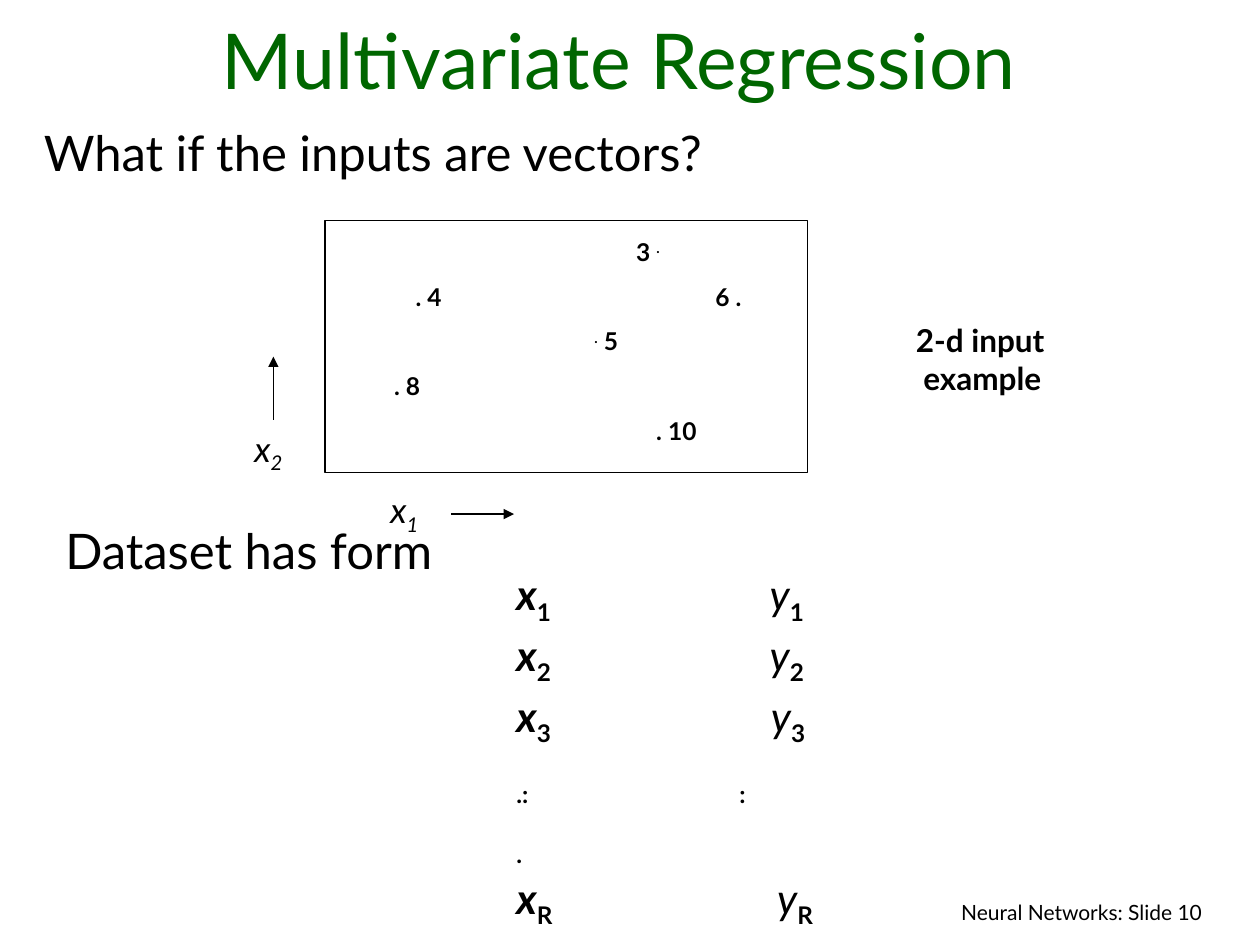
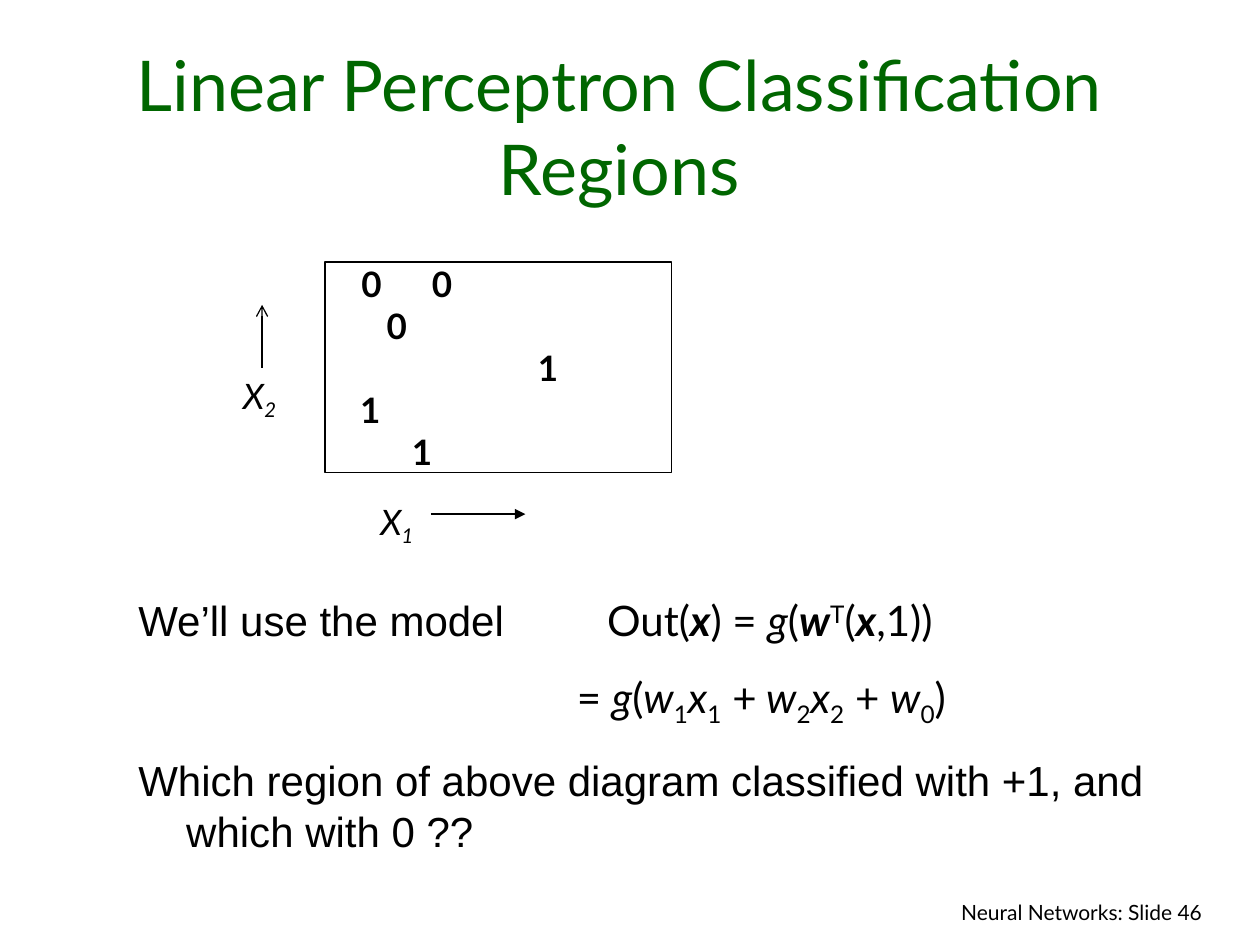
from lxml import etree
from pptx import Presentation
from pptx import util as u
from pptx.dml.color import RGBColor
from pptx.enum import shapes, text
from pptx.oxml.ns import qn

# Shared look
GREEN, BLACK = "006600", "000000"
FONT, PLAIN = "Lato", "Arial"

# Run marks: b bold, i italic, _ subscript, ^ superscript, a plain font
# A paragraph is (tab stops, runs); a tab in the text jumps to the next stop
PAIRS = [
    ([2.01], [("x", "bi"), ("1", "b_"), ("\ty", "i"), ("1", "b_")]),
    ([2.01], [("x", "bi"), ("2", "b_"), ("\ty", "i"), ("2", "b_")]),
    ([2.02], [("x", "bi"), ("3", "b_"), ("\ty", "i"), ("3", "b_")]),
    ([1.77], [(".:\t:", "b_")]),
    ([], [(".", "b_")]),
    ([2.07], [("x", "bi"), ("R", "b_"), ("\ty", "i"), ("R", "b_")]),
]
POINTS = [
    ([2.28], [("\t3 ", "b"), (".", "b^")]),
    ([0.53, 2.91], [("\t. 4\t6 .", "b")]),
    ([1.95], [("\t.", "b^"), (" 5", "b")]),
    ([0.36], [("\t. 8", "b")]),
    ([2.44], [("\t. 10", "b")]),
]
CLASSES = [
    ([0.19, 0.75], [("\t0\t0", "b")]),
    ([0.39], [("\t0", "b")]),
    ([1.59], [("\t1", "b")]),
    ([0.18], [("\t1", "b")]),
    ([0.59], [("\t1", "b")]),
]
MODEL = [
    ([3.72], [("We’ll use the model", "a"), ("\tOut(", ""), ("x", "bi"),
              (") = ", ""), ("g", "i"), ("(", ""), ("w", "bi"), ("T", "^"),
              ("(", ""), ("x", "bi"), (",1))", "")]),
    ([3.48], [("\t= ", ""), ("g", "i"), ("(", ""),
              ("w", "i"), ("1", "_"), ("x", "i"), ("1", "_"), (" +", ""),
              (" w", "i"), ("2", "_"), ("x", "i"), ("2", "_"), (" + ", ""),
              ("w", "i"), ("0", "_"), (")", "")]),
    ([], [("Which region of above diagram classified with +1, "
           "and which with 0 ??", "a")]),
]


def paint(hue):
    return RGBColor.from_string(hue)


def place(shape, box):
    shape.left, shape.top, shape.width, shape.height = map(u.Inches, box)


def add_run(para, words, size, marks="", hue=BLACK):
    run = para.add_run()
    run.text = words
    font = run.font
    font.size = u.Pt(size)
    font.name = PLAIN if "a" in marks else FONT
    font.bold, font.italic = "b" in marks, "i" in marks
    font.color.rgb = paint(hue)
    base = {"_": "-25000", "^": "30000"}.get(marks[-1:])
    if base:
        run._r.get_or_add_rPr().set("baseline", base)


def fill_text(frame, paras, size, gap=0, lead=None, hang=0,
              align=text.PP_ALIGN.LEFT):
    frame.word_wrap = True
    for n, (stops, runs) in enumerate(paras):
        para = frame.paragraphs[0] if n == 0 else frame.add_paragraph()
        para.alignment = align
        para.space_before = u.Pt(gap if n else 0)
        if lead:
            para.line_spacing = lead
        props = para._p.get_or_add_pPr()
        if stops:
            tabs = etree.SubElement(props, qn("a:tabLst"))
            for stop in stops:
                etree.SubElement(tabs, qn("a:tab"), algn="l",
                                 pos=str(u.Inches(stop)))
        elif hang:
            props.set("marL", str(u.Inches(hang)))
            props.set("indent", str(-u.Inches(hang)))
        for words, marks in runs:
            add_run(para, words, size, marks)


def add_text(slide, box, paras, size, **look):
    shape = slide.shapes.add_textbox(*map(u.Inches, box))
    fill_text(shape.text_frame, paras, size, **look)


def add_line(slide, start, end, head="triangle"):
    line = slide.shapes.add_connector(
        shapes.MSO_CONNECTOR.STRAIGHT, *map(u.Inches, start + end))
    line.line.color.rgb = paint(BLACK)
    line.line.width = u.Pt(0.75)
    etree.SubElement(line.line._get_or_add_ln(), qn("a:tailEnd"), type=head)
    etree.SubElement(line._element.spPr, qn("a:effectLst"))


def add_frame(slide, box):
    rect = slide.shapes.add_shape(shapes.MSO_SHAPE.RECTANGLE,
                                  *map(u.Inches, box))
    rect.shadow.inherit = False
    rect.fill.background()
    rect.line.color.rgb = paint(BLACK)
    rect.line.width = u.Pt(0.75)
    return rect


def add_axis(slide, name, sub, box):
    add_text(slide, box, [([], [(name, "i"), (sub, "i_")])], 20)


def add_slide(deck, title, box, size, page):
    slide = deck.slides.add_slide(deck.slide_layouts[5])
    head = slide.shapes.title
    place(head, box)
    frame = head.text_frame
    frame.auto_size = text.MSO_AUTO_SIZE.NONE
    frame.vertical_anchor = text.MSO_ANCHOR.BOTTOM
    frame.word_wrap = True
    frame.paragraphs[0].alignment = text.PP_ALIGN.CENTER
    add_run(frame.paragraphs[0], title, size, hue=GREEN)
    # Footer
    add_text(slide, (5.72, 7.09, 3.92, 0.33),
             [([], [(f"Neural Networks: Slide {page}", "")])], 12,
             align=text.PP_ALIGN.RIGHT)
    return slide


def add_inputs(deck):
    slide = add_slide(deck, "Multivariate Regression",
                      (0.25, 0.17, 9.33, 0.71), 44, 10)
    add_text(slide, (0.25, 0.92, 9.38, 0.74),
             [([], [("What if the inputs are vectors?", "")])], 28)
    add_text(slide, (0.42, 4.08, 7.08, 0.57),
             [([], [("Dataset has form", "")])], 28)
    add_text(slide, (4, 4.58, 3.58, 2.78), PAIRS, 24, gap=15, lead=0.6)
    # Scatter of labelled points
    add_text(slide, (2.67, 1.83, 3.83, 1.76), POINTS, 14, gap=8.8)
    add_frame(slide, (2.58, 1.75, 3.83, 2))
    add_text(slide, (7.17, 2.5, 1.83, 0.7),
             [([], [("2-d input example", "b")])], 18, hang=0.06)
    # Axes
    add_axis(slide, "x", "1", (3, 3.83, 1.33, 0.48))
    add_line(slide, (3.58, 4.08), (4.08, 4.08))
    add_axis(slide, "x", "2", (1.92, 3.34, 0.5, 0.48))
    add_line(slide, (2.17, 3.33), (2.17, 2.83))


def add_regions(deck):
    slide = add_slide(deck, "Linear Perceptron Classification Regions",
                      (0.25, 0.25, 9.33, 1.46), 40, 46)
    # Diagram of the two classes
    rect = add_frame(slide, (2.58, 2.08, 2.75, 1.67))
    rect.text_frame.vertical_anchor = text.MSO_ANCHOR.MIDDLE
    fill_text(rect.text_frame, CLASSES, 20)
    # Axes
    add_axis(slide, "X", "2", (1.83, 2.92, 0.5, 0.48))
    add_axis(slide, "X", "1", (2.92, 3.92, 0.92, 0.48))
    add_line(slide, (3.42, 4.08), (4.17, 4.08))
    add_line(slide, (2.08, 2.92), (2.08, 2.42), "arrow")
    add_text(slide, (1, 4.67, 8.5, 2.17), MODEL, 24, gap=15, hang=0.38)


def main():
    deck = Presentation()
    deck.slide_width, deck.slide_height = u.Inches(10), u.Inches(7.5)
    add_inputs(deck)
    add_regions(deck)
    deck.save("out.pptx")


if __name__ == "__main__":
    main()
